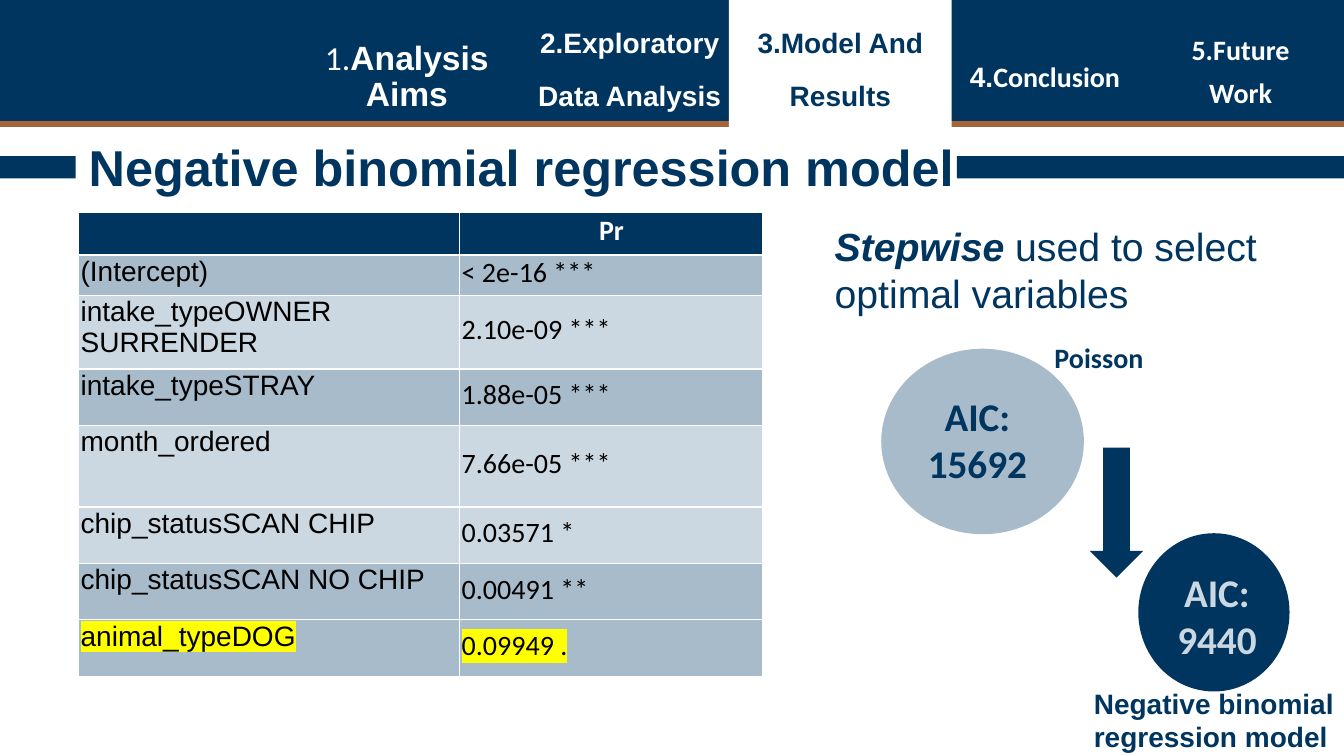
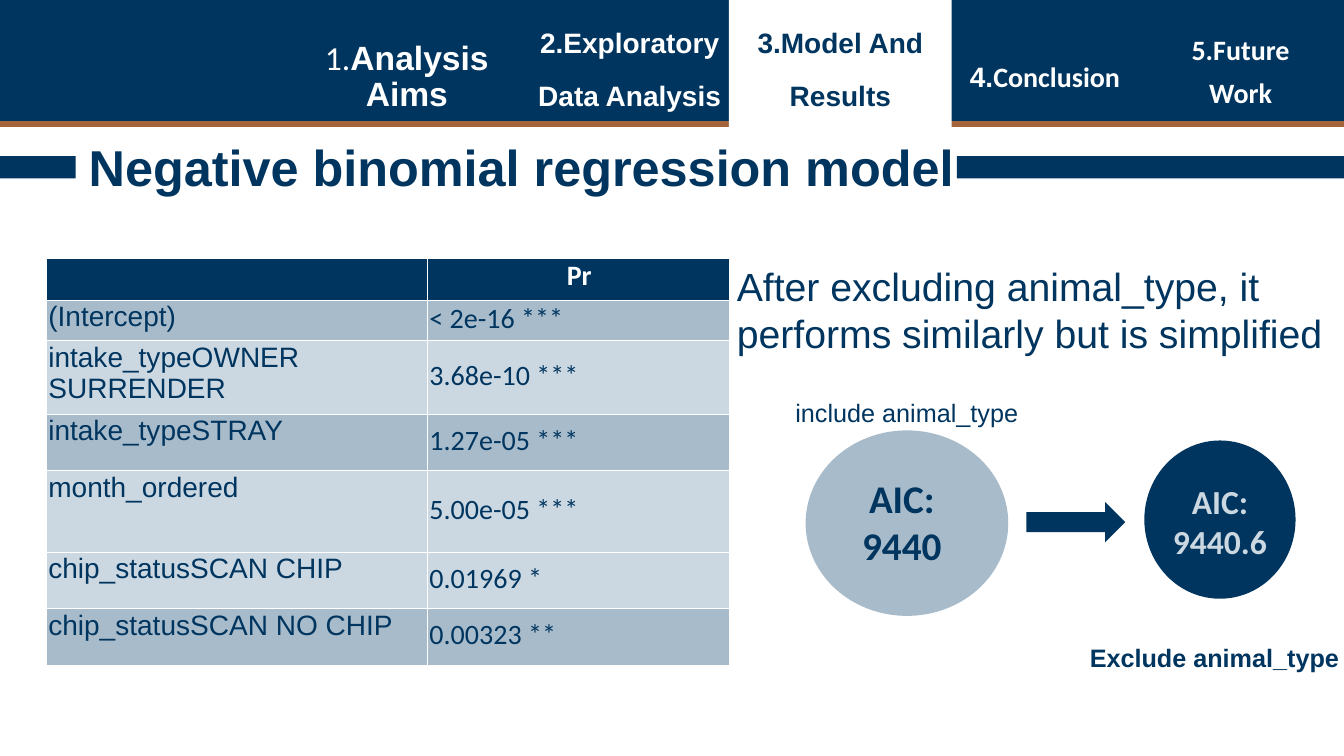
from dataclasses import dataclass
from typing import NamedTuple

from lxml import etree
from pptx import Presentation
from pptx import util as u
from pptx.dml.color import RGBColor
from pptx.enum import shapes, text
from pptx.oxml import ns

EMU_PER_PX = 9144  # 100 px to the inch
NAVY = RGBColor(0x00, 0x35, 0x5F)
BROWN = RGBColor(0xA4, 0x65, 0x3A)
STEEL = RGBColor(0xA8, 0xBB, 0xCA)
PALE = RGBColor(0xCC, 0xD8, 0xE1)
WHITE = RGBColor(0xFF, 0xFF, 0xFF)
BLACK = RGBColor(0x00, 0x00, 0x00)
YELLOW = RGBColor(0xFF, 0xFF, 0x00)
ARIAL, CALIBRI = "Arial", "Calibri"
LEFT, CENTER = text.PP_ALIGN.LEFT, text.PP_ALIGN.CENTER
TOP, MIDDLE = text.MSO_ANCHOR.TOP, text.MSO_ANCHOR.MIDDLE
SHAPE = shapes.MSO_SHAPE


class Box(NamedTuple):
    x: int
    y: int
    w: int
    h: int


class Span(NamedTuple):
    text: str
    font: str = ARIAL
    bold: bool = False
    italic: bool = False


@dataclass(frozen=True)
class Label:
    box: Box
    paragraphs: tuple[tuple[Span, ...], ...]
    size: int
    color: RGBColor = NAVY
    align: text.PP_ALIGN = LEFT
    spacing: float = 1.0
    fill: RGBColor | None = None


@dataclass(frozen=True)
class Block:
    box: Box
    color: RGBColor
    kind: SHAPE = SHAPE.RECTANGLE


@dataclass(frozen=True)
class Coefficients:
    x: int
    y: int
    values: tuple[str, ...]
    color: RGBColor
    marked: str = ""


@dataclass(frozen=True)
class Page:
    table: Coefficients
    blocks: tuple[Block, ...]
    labels: tuple[Label, ...]


def px(n: int) -> u.Emu:
    return u.Emu(n * EMU_PER_PX)


def line(content: str, font: str = ARIAL, bold: bool = False) -> tuple[Span, ...]:
    return (Span(content, font, bold),)


def aic(box: Box, value: str, size: int, color: RGBColor) -> Label:
    lines = tuple(line(t, CALIBRI, True) for t in ("AIC:", value))
    return Label(box, lines, size, color, CENTER)


# Shared parts
TITLE = "Negative binomial regression model"
TITLE_BOX = Box(78, 126, 892, 86)
BANDS = (
    Block(Box(0, 5, 1335, 121), BROWN),
    Block(Box(0, -1, 1334, 121), NAVY),
    Block(Box(-2, 155, 77, 22), NAVY),
    Block(Box(949, 155, 385, 22), NAVY),
)
NAVIGATION = (
    Label(Box(293, 36, 221, 90),
          ((Span("1.", CALIBRI), Span("Analysis Aims", bold=True)),),
          24, WHITE, CENTER, 0.9),
    Label(Box(514, 0, 221, 144), (line("2.Exploratory Data Analysis", bold=True),),
          20, WHITE, CENTER, 1.6),
    Label(Box(723, 0, 221, 144), (line("3.Model And Results", bold=True),),
          20, NAVY, CENTER, 1.6, WHITE),
    Label(Box(920, 17, 233, 126),
          ((Span("4.", bold=True), Span("Conclusion", CALIBRI, True)),),
          20, WHITE, CENTER, 2.1),
    Label(Box(1120, 17, 221, 126),
          (line("5.Future", CALIBRI, True), line("Work", CALIBRI, True)),
          20, WHITE, CENTER, 1.3),
)

# Table rules: term, row height, row fill
COLUMNS = (378, 300)
HEADER_HEIGHT = 42
TERMS = (
    ("(Intercept)", 40, STEEL),
    ("intake_typeOWNER SURRENDER", 73, PALE),
    ("intake_typeSTRAY", 56, STEEL),
    ("month_ordered", 81, PALE),
    ("chip_statusSCAN CHIP", 56, PALE),
    ("chip_statusSCAN NO CHIP", 56, STEEL),
    ("animal_typeDOG", 56, STEEL),
)

PAGES = (
    Page(
        Coefficients(78, 211, (
            "< 2e-16 ***", "2.10e-09 ***", "1.88e-05 ***", "7.66e-05 ***",
            "0.03571 *", "0.00491 **", "0.09949 ."), BLACK, "animal_typeDOG"),
        (
            Block(Box(874, 346, 201, 184), STEEL, SHAPE.OVAL),
            Block(Box(1129, 529, 150, 157), NAVY, SHAPE.OVAL),
            Block(Box(1081, 444, 53, 129), NAVY, SHAPE.DOWN_ARROW),
        ),
        (
            aic(Box(903, 384, 133, 104), "15692", 28, NAVY),
            aic(Box(1148, 559, 118, 97), "9440", 28, PALE),
            Label(Box(1036, 333, 208, 44), (line("Poisson", CALIBRI, True),), 20),
            Label(Box(1075, 676, 312, 111), (line(TITLE, bold=True),), 20),
            Label(Box(818, 216, 493, 104),
                  ((Span("Stepwise", bold=True, italic=True),
                    Span(" used to select optimal variables")),), 28),
        ),
    ),
    Page(
        Coefficients(46, 256, (
            "< 2e-16 ***", "3.68e-10 ***", "1.27e-05 ***", "5.00e-05 ***",
            "0.01969 *", "0.00323 **"), NAVY),
        (
            Block(Box(799, 427, 201, 184), STEEL, SHAPE.OVAL),
            Block(Box(1135, 437, 150, 157), NAVY, SHAPE.OVAL),
            Block(Box(1018, 498, 98, 40), NAVY, SHAPE.RIGHT_ARROW),
        ),
        (
            aic(Box(828, 466, 133, 104), "9440", 28, NAVY),
            aic(Box(1148, 472, 124, 97), "9440.6", 24, PALE),
            Label(Box(779, 389, 335, 40), (line("include animal_type"),), 18),
            Label(Box(1071, 632, 312, 40), (line("Exclude animal_type", bold=True),), 18),
            Label(Box(721, 255, 639, 104),
                  (line("After excluding animal_type, it performs similarly but is simplified"),),
                  28),
        ),
    ),
)


# Drawing
def add_span(p, span: Span, size: int, color: RGBColor):
    r = p.add_run()
    r.text = span.text
    formats = {"name": span.font, "size": u.Pt(size), "bold": span.bold, "italic": span.italic}
    for name, value in formats.items():
        setattr(r.font, name, value)
    r.font.color.rgb = color
    return r


def highlight(r, color: RGBColor) -> None:
    mark = etree.Element(ns.qn("a:highlight"))
    etree.SubElement(mark, ns.qn("a:srgbClr"), val=str(color))
    r.font.fill  # the highlight follows the text fill
    r._r.get_or_add_rPr().find(ns.qn("a:solidFill")).addnext(mark)


def add_block(s, block: Block):
    sp = s.shapes.add_shape(block.kind, *map(px, block.box))
    sp.shadow.inherit = False
    sp.fill.solid()
    sp.fill.fore_color.rgb = block.color
    sp.line.fill.background()
    return sp


def add_label(s, label: Label) -> None:
    if label.fill is None:
        sp = s.shapes.add_textbox(*map(px, label.box))
    else:
        sp = add_block(s, Block(label.box, label.fill))
    tf = sp.text_frame
    tf.word_wrap = True
    tf.vertical_anchor = TOP
    for i, spans in enumerate(label.paragraphs):
        p = tf.add_paragraph() if i else tf.paragraphs[0]
        p.alignment, p.line_spacing = label.align, label.spacing
        for span in spans:
            add_span(p, span, label.size, label.color)


def add_title(s) -> None:
    sp = s.shapes.title
    for name, value in zip(("left", "top", "width", "height"), TITLE_BOX):
        setattr(sp, name, px(value))
    tf = sp.text_frame
    formats = {"word_wrap": True, "vertical_anchor": MIDDLE, "auto_size": text.MSO_AUTO_SIZE.NONE}
    for name, value in formats.items():
        setattr(tf, name, value)
    p = tf.paragraphs[0]
    p.alignment, p.line_spacing = LEFT, 0.9
    add_span(p, Span(TITLE, bold=True), 36, NAVY)


def style_cell(cell, fill: RGBColor, anchor: text.MSO_ANCHOR) -> None:
    formats = {"margin_left": px(2), "margin_top": px(1), "margin_right": px(1),
               "margin_bottom": px(5), "vertical_anchor": anchor}
    for name, value in formats.items():
        setattr(cell, name, value)
    tc_pr = cell._tc.get_or_add_tcPr()
    for side in ("lnL", "lnR", "lnT", "lnB"):
        border = etree.SubElement(tc_pr, ns.qn(f"a:{side}"), w=str(u.Pt(1)))
        solid = etree.SubElement(border, ns.qn("a:solidFill"))
        etree.SubElement(solid, ns.qn("a:srgbClr"), val=str(WHITE))
    cell.fill.solid()
    cell.fill.fore_color.rgb = fill


def add_coefficients(s, data: Coefficients) -> None:
    terms = TERMS[:len(data.values)]
    heights = (HEADER_HEIGHT, *(height for _, height, _ in terms))
    frame = s.shapes.add_table(len(heights), len(COLUMNS), px(data.x), px(data.y),
                               px(sum(COLUMNS)), px(sum(heights)))
    table = frame.table
    table.first_row = table.horz_banding = False
    for column, width in zip(table.columns, COLUMNS):
        column.width = px(width)
    for row, height in zip(table.rows, heights):
        row.height = px(height)

    for column in range(len(COLUMNS)):
        style_cell(table.cell(0, column), NAVY, TOP)
    p = table.cell(0, 1).text_frame.paragraphs[0]
    p.alignment = CENTER
    add_span(p, Span("Pr", CALIBRI, True), 20, WHITE)

    for i, ((term, _, fill), value) in enumerate(zip(terms, data.values), 1):
        columns = ((Span(term), TOP), (Span(value, CALIBRI), MIDDLE))
        for j, (span, anchor) in enumerate(columns):
            cell = table.cell(i, j)
            style_cell(cell, fill, anchor)
            r = add_span(cell.text_frame.paragraphs[0], span, 20, data.color)
            if term == data.marked:
                highlight(r, YELLOW)


def add_page(prs, page: Page) -> None:
    s = prs.slides.add_slide(prs.slide_layouts[5])
    for band in BANDS:
        add_block(s, band)
    add_title(s)
    add_coefficients(s, page.table)
    for block in page.blocks:
        add_block(s, block)
    for label in page.labels + NAVIGATION:
        add_label(s, label)


def main() -> None:
    prs = Presentation()
    prs.slide_width, prs.slide_height = px(1333), px(750)
    for page in PAGES:
        add_page(prs, page)
    prs.save("out.pptx")


if __name__ == "__main__":
    main()
